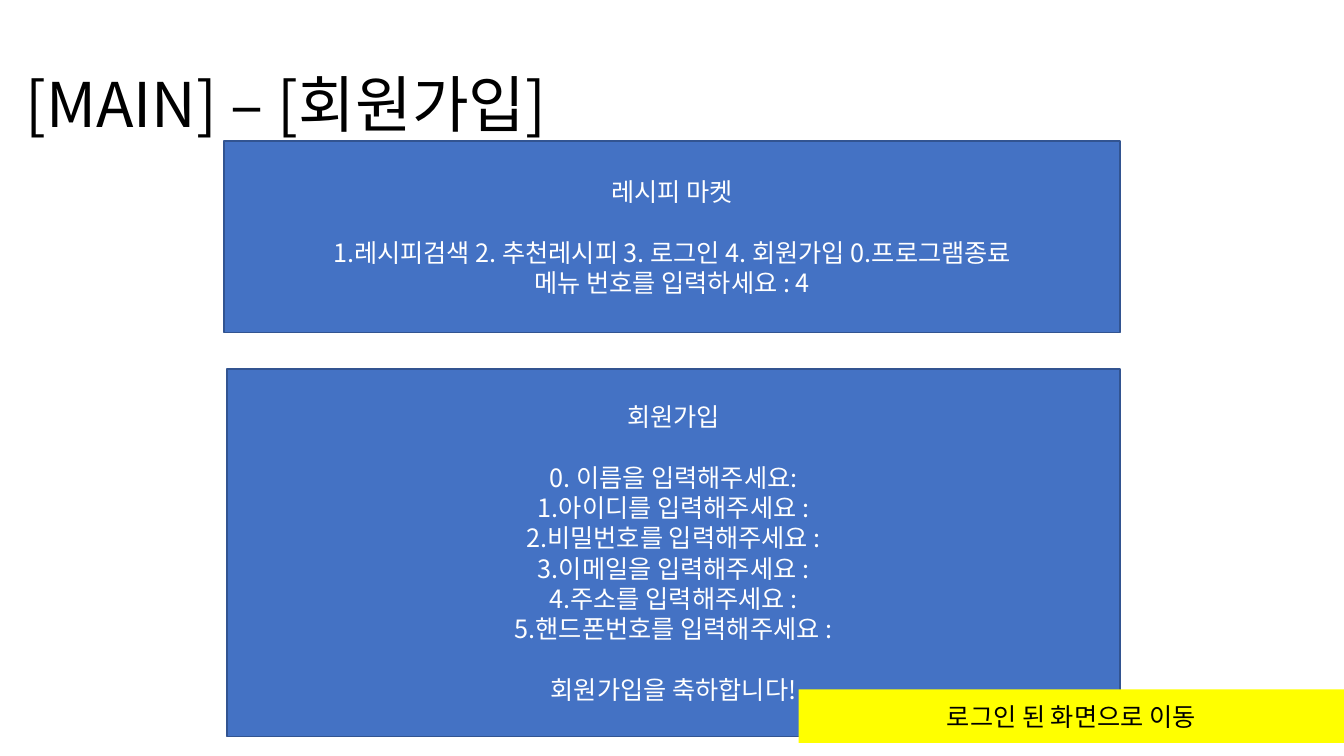
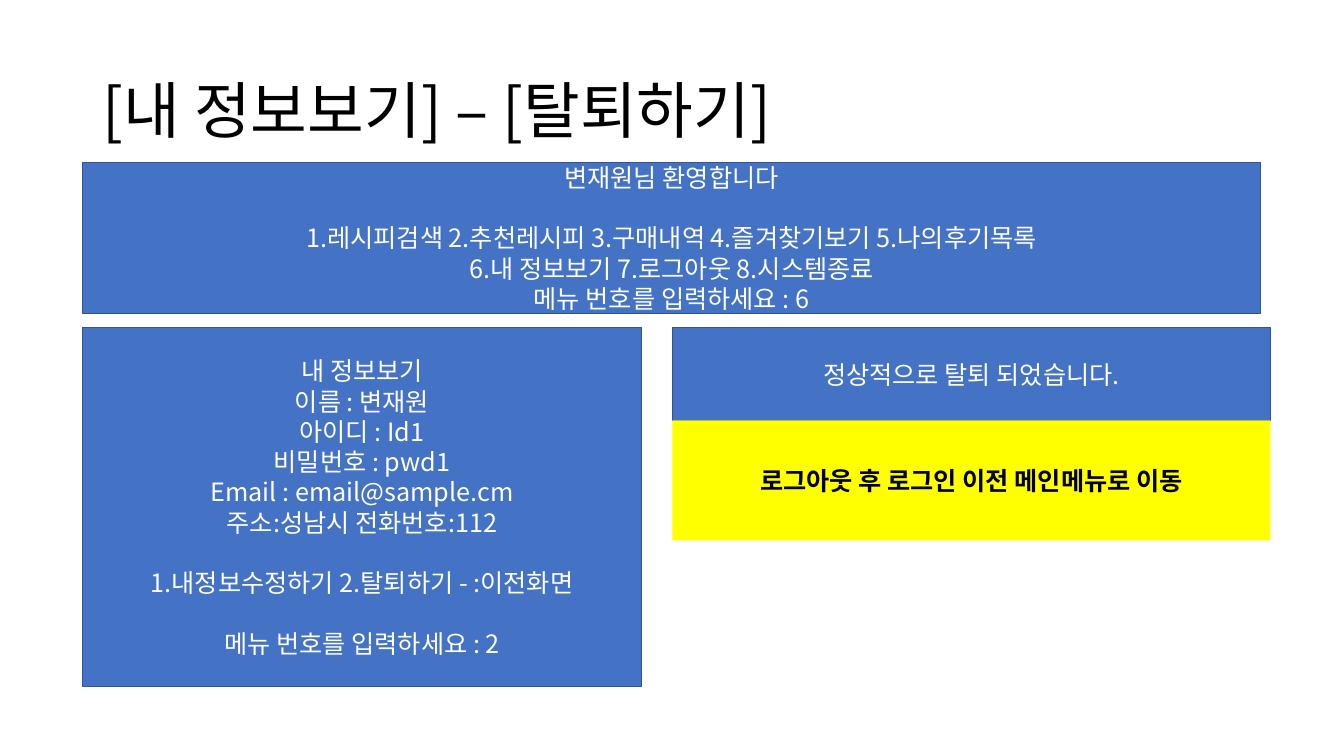
from dataclasses import dataclass

from lxml import etree
from pptx import Presentation
from pptx.dml.color import RGBColor
from pptx.enum.shapes import MSO_SHAPE
from pptx.enum.text import MSO_ANCHOR, MSO_AUTO_SIZE, PP_ALIGN
from pptx.oxml.ns import qn
from pptx.util import Inches, Pt

RECTANGLE = MSO_SHAPE.RECTANGLE
MIDDLE = MSO_ANCHOR.MIDDLE
NO_AUTOFIT = MSO_AUTO_SIZE.NONE
LEFT = PP_ALIGN.LEFT
CENTER = PP_ALIGN.CENTER
TITLE_ONLY_LAYOUT = 5


@dataclass(frozen=True)
class Theme:
    """Colours, font and type sizes shared by the slides."""
    font: str = "Noto Sans CJK KR"
    panel: str = "4472C4"
    panel_line: str = "325491"
    panel_text: str = "FFFFFF"
    note: str = "FFFF00"
    dark_text: str = "000000"
    title_size: float = 44
    body_size: float = 18
    line_pitch: float = 21.6
    panel_line_width: float = 1
    text_outline_width: float = 0.75


@dataclass(frozen=True)
class Box:
    """Place of an element, in inches."""
    left: float
    top: float
    width: float
    height: float


@dataclass(frozen=True)
class Panel:
    """A console screen, with its lines grouped in spaced blocks."""
    box: Box
    blocks: tuple[tuple[str, ...], ...]


@dataclass(frozen=True)
class Note:
    """A yellow remark about the next screen."""
    box: Box
    text: str
    bold: bool = False


@dataclass(frozen=True)
class Page:
    """The content of one slide."""
    title: str
    title_box: Box
    panels: tuple[Panel, ...]
    note: Note


THEME = Theme()

SIGN_UP = Page(
    "[MAIN] – [회원가입]",
    Box(0.15, 0.34, 12.8, 1.45),
    (
        Panel(Box(2.25, 3.66, 8.86, 3.65), (
            ("회원가입",),
            (
                "0. 이름을 입력해주세요:",
                "1.아이디를 입력해주세요 :",
                "2.비밀번호를 입력해주세요 :",
                "3.이메일을 입력해주세요 :",
                "4.주소를 입력해주세요 :",
                "5.핸드폰번호를 입력해주세요 :",
            ),
            ("회원가입을 축하합니다!",),
        )),
        Panel(Box(2.22, 1.4, 8.89, 1.9), (
            ("레시피 마켓",),
            (
                "1.레시피검색 2. 추천레시피 3. 로그인 4. 회원가입 0.프로그램종료",
                "메뉴 번호를 입력하세요 : 4",
            ),
        )),
    ),
    Note(Box(7.92, 6.84, 5.41, 0.53), "로그인 된 화면으로 이동"),
)

WITHDRAWAL = Page(
    "[내 정보보기] – [탈퇴하기]",
    Box(0.92, 0.4, 11.5, 1.45),
    (
        Panel(Box(0.82, 3.25, 5.54, 3.56), (
            (
                "내 정보보기",
                "이름 : 변재원",
                "아이디 : Id1",
                "비밀번호 : pwd1",
                "Email : email@sample.cm",
                "주소:성남시 전화번호:112",
            ),
            ("1.내정보수정하기 2.탈퇴하기 - :이전화면",),
            ("메뉴 번호를 입력하세요 : 2",),
        )),
        Panel(Box(6.67, 3.25, 5.93, 0.92), (("정상적으로 탈퇴 되었습니다.",),)),
        Panel(Box(0.82, 1.61, 11.68, 1.5), (
            ("변재원님 환영합니다",),
            (
                "1.레시피검색 2.추천레시피 3.구매내역 4.즐겨찾기보기 5.나의후기목록",
                "6.내 정보보기 7.로그아웃 8.시스템종료",
                "메뉴 번호를 입력하세요 : 6",
            ),
        )),
    ),
    Note(Box(6.67, 4.17, 5.93, 1.19), "로그아웃 후 로그인 이전 메인메뉴로 이동", True),
)


def place(shape, box: Box) -> None:
    """Move and size a shape."""
    shape.left, shape.top = Inches(box.left), Inches(box.top)
    shape.width, shape.height = Inches(box.width), Inches(box.height)


def format_run(run, size: float, color: str, bold: bool = False) -> None:
    """Set font, size and colour for Latin and Korean text."""
    font = run.font
    font.name = THEME.font
    font.size = Pt(size)
    font.bold = bold
    font.color.rgb = RGBColor.from_string(color)
    properties = run._r.get_or_add_rPr()
    east_asian = etree.Element(qn("a:ea"), typeface=THEME.font)
    properties.find(qn("a:latin")).addnext(east_asian)


def outline_run(run, color: str) -> None:
    """Draw a thin line around the letters of a run."""
    outline = etree.Element(qn("a:ln"), w=str(Pt(THEME.text_outline_width)))
    fill = etree.SubElement(outline, qn("a:solidFill"))
    etree.SubElement(fill, qn("a:srgbClr"), val=color)
    run._r.get_or_add_rPr().insert(0, outline)


def add_rectangle(slide, box: Box, fill: str, blocks, color: str, bold: bool = False):
    """Add a filled rectangle with centred blocks of lines."""
    shape = slide.shapes.add_shape(
        RECTANGLE, Inches(box.left), Inches(box.top), Inches(box.width), Inches(box.height)
    )
    shape.shadow.inherit = False
    shape.fill.solid()
    shape.fill.fore_color.rgb = RGBColor.from_string(fill)
    text_frame = shape.text_frame
    text_frame.word_wrap = True
    text_frame.vertical_anchor = MIDDLE
    text_frame.text = "\n".join(line for block in blocks for line in block)
    paragraphs = iter(text_frame.paragraphs)
    for block_index, block in enumerate(blocks):
        for line_index in range(len(block)):
            paragraph = next(paragraphs)
            paragraph.alignment = CENTER
            paragraph.line_spacing = Pt(THEME.line_pitch)
            if block_index and not line_index:
                paragraph.space_before = Pt(THEME.line_pitch)
            for run in paragraph.runs:
                format_run(run, THEME.body_size, color, bold)
    return shape


def add_panel(slide, panel: Panel) -> None:
    """Add a blue console screen."""
    shape = add_rectangle(slide, panel.box, THEME.panel, panel.blocks, THEME.panel_text)
    shape.line.color.rgb = RGBColor.from_string(THEME.panel_line)
    shape.line.width = Pt(THEME.panel_line_width)


def add_note(slide, note: Note) -> None:
    """Add a yellow remark with outlined letters."""
    shape = add_rectangle(
        slide, note.box, THEME.note, ((note.text,),), THEME.dark_text, note.bold
    )
    shape.line.fill.background()
    for run in shape.text_frame.paragraphs[0].runs:
        outline_run(run, THEME.dark_text)


def set_title(slide, text: str, box: Box) -> None:
    """Fill and format the title placeholder."""
    title = slide.shapes.title
    place(title, box)
    text_frame = title.text_frame
    text_frame.text = text
    text_frame.word_wrap = True
    text_frame.auto_size = NO_AUTOFIT
    text_frame.vertical_anchor = MIDDLE
    paragraph = text_frame.paragraphs[0]
    paragraph.alignment = LEFT
    paragraph.line_spacing = 0.9
    for run in paragraph.runs:
        format_run(run, THEME.title_size, THEME.dark_text)


def add_page(presentation, page: Page) -> None:
    """Add one slide with its title, panels and note."""
    slide = presentation.slides.add_slide(presentation.slide_layouts[TITLE_ONLY_LAYOUT])
    set_title(slide, page.title, page.title_box)
    for panel in page.panels:
        add_panel(slide, panel)
    add_note(slide, page.note)


def main() -> None:
    """Build and save the presentation."""
    presentation = Presentation()
    presentation.slide_width = Inches(13.33)
    presentation.slide_height = Inches(7.5)
    for page in (SIGN_UP, WITHDRAWAL):
        add_page(presentation, page)
    presentation.save("out.pptx")


main()
